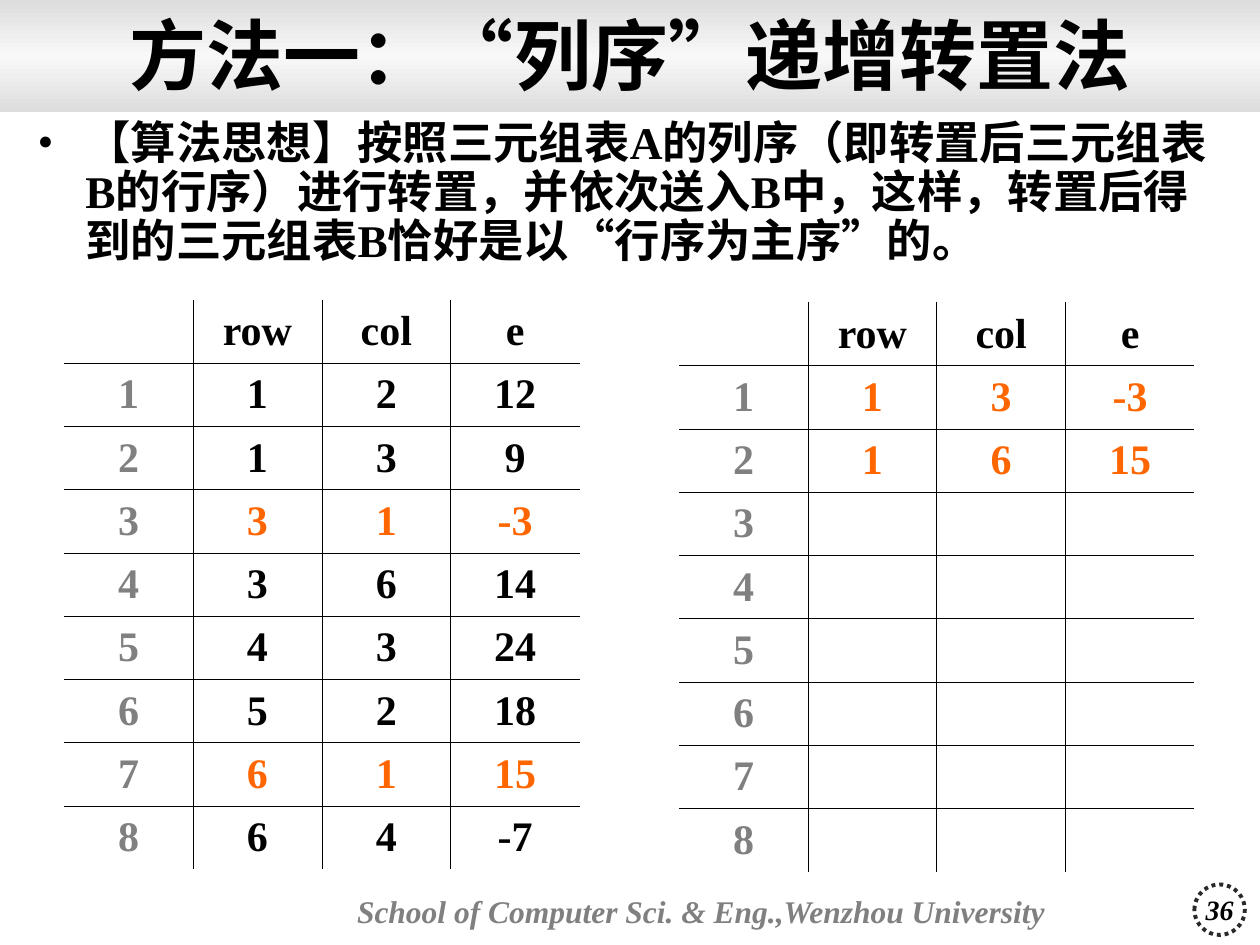
import copy

import pptx
import pptx.dml.color
import pptx.enum.dml
import pptx.enum.shapes
import pptx.enum.text
import pptx.oxml
import pptx.oxml.ns
import pptx.util
from pptx.util import Inches

SERIF = "Times New Roman"
HAN = "Noto Sans CJK SC"
BLACK, GRAY, ORANGE = "000000", "808080", "FF6600"
COLUMNS = ["", "row", "col", "e"]
SOURCE_TRIPLES = [(1, 2, 12), (1, 3, 9), (3, 1, -3), (3, 6, 14),
                  (4, 3, 24), (5, 2, 18), (6, 1, 15), (6, 4, -7)]
MOVED_TRIPLES = [(1, 3, -3), (1, 6, 15)]
TITLE = [("方法一：“", HAN), ("列序", SERIF), ("”", HAN), ("递增转置法", SERIF)]
IDEA = [("【", HAN), ("算法思想", SERIF), ("】", HAN),
        ("按照三元组表A的列序（即转置后三元组表B的行序）进行转置，并依次送入B中，"
         "这样，转置后得到的三元组表B恰好是以", SERIF),
        ("“", HAN), ("行序为主序", SERIF), ("”", HAN), ("的。", SERIF)]


def rgb(value):
    """Turn a hex string into a colour."""
    return pptx.dml.color.RGBColor.from_string(value)


def xml(markup):
    """Parse one drawing element, declaring its namespace."""
    head, rest = markup.split(" ", 1)
    return pptx.oxml.parse_xml(f"{head} {pptx.oxml.ns.nsdecls('a')} {rest}")


def style(font, size, color=BLACK, italic=False):
    """Give a font the bold look shared by all text."""
    font.size = pptx.util.Pt(size)
    font.bold = True
    font.italic = italic
    font.name = SERIF
    font.color.rgb = rgb(color)


def add_spans(para, spans):
    """Add runs, each with its Latin font and the shared Chinese font."""
    for text, name in spans:
        span = para.add_run()
        span.text = text
        span.font.name = name
        span.font._element.append(xml(f'<a:ea typeface="{HAN}"/>'))


def add_text_box(page, place, anchor):
    """Add a wrapping text box and return its first paragraph."""
    frame = page.shapes.add_textbox(*map(Inches, place)).text_frame
    frame.word_wrap = True
    frame.vertical_anchor = anchor
    return frame.paragraphs[0]


def add_title_band(page):
    """Add the gradient band behind the title."""
    band = page.shapes.add_shape(pptx.enum.shapes.MSO_SHAPE.RECTANGLE,
                                 0, 0, Inches(10), Inches(0.89))
    band.shadow.inherit = False
    band.line.fill.background()
    band.fill.gradient()
    band.fill.gradient_angle = 90
    first = band.fill._xPr.find(".//" + pptx.oxml.ns.qn("a:gs"))
    first.addnext(copy.deepcopy(first))
    for stop, place, color in zip(band.fill.gradient_stops, (0, 0.5, 1),
                                  ("DDDDDD", "F8F8F8", "DDDDDD")):
        stop.position = place
        stop.color.rgb = rgb(color)


def add_title(page):
    """Add the slide title."""
    para = add_text_box(page, (0, -0.02, 10, 0.9), pptx.enum.text.MSO_ANCHOR.MIDDLE)
    para.alignment = pptx.enum.text.PP_ALIGN.CENTER
    style(para.font, 44)
    add_spans(para, TITLE)


def add_idea(page):
    """Add the bulleted statement of the algorithm."""
    para = add_text_box(page, (0.2, 0.91, 9.61, 1.5), pptx.enum.text.MSO_ANCHOR.TOP)
    para.line_spacing = 0.9
    properties = para._p.get_or_add_pPr()
    properties.set("marL", str(Inches(0.38)))
    properties.set("indent", str(Inches(-0.38)))
    properties.append(xml('<a:buFont typeface="Times New Roman"/>'))
    properties.append(xml('<a:buChar char="•"/>'))
    style(para.font, 25.9)
    add_spans(para, IDEA)


def add_footer_shape(page, kind, place, text, size, color):
    """Add an unfilled footer shape with one italic line."""
    shape = page.shapes.add_shape(kind, *map(Inches, place))
    shape.shadow.inherit = False
    shape.fill.background()
    shape.line.fill.background()
    frame = shape.text_frame
    frame.word_wrap = False
    frame.vertical_anchor = pptx.enum.text.MSO_ANCHOR.MIDDLE
    para = frame.paragraphs[0]
    para.text = text
    para.alignment = pptx.enum.text.PP_ALIGN.CENTER
    style(para.font, size, color, italic=True)
    return shape


def add_footer(page):
    """Add the school name and the ringed page number."""
    kinds = pptx.enum.shapes.MSO_SHAPE
    school = add_footer_shape(page, kinds.ROUNDED_RECTANGLE, (2.78, 6.9, 5.99, 0.66),
                              "School of Computer Sci. & Eng.,Wenzhou University", 18, GRAY)
    school.adjustments[0] = 0.02
    frame = school.text_frame
    frame.margin_left = frame.margin_right = Inches(0.05)
    frame.margin_top = frame.margin_bottom = Inches(0.02)
    frame.paragraphs[0].alignment = pptx.enum.text.PP_ALIGN.LEFT
    ring = add_footer_shape(page, kinds.OVAL, (9.48, 7.02, 0.4, 0.4), "36", 16, BLACK)
    ring.line.color.rgb = rgb("292929")
    ring.line.width = pptx.util.Pt(2.25)
    ring.line.dash_style = pptx.enum.dml.MSO_LINE.ROUND_DOT


def set_borders(cell, inner_sides):
    """Draw thin lines on the inner sides of a cell and none elsewhere."""
    for side in "LRTB":
        paint = (f'<a:solidFill><a:srgbClr val="{BLACK}"/></a:solidFill>'
                 if side in inner_sides else "<a:noFill/>")
        cell._tc.get_or_add_tcPr().append(
            xml(f'<a:ln{side} w="{pptx.util.Pt(0.45)}">{paint}</a:ln{side}>'))


def add_triple_table(page, left, top, triples):
    """Add a triple table with eight numbered rows, marking those of column one."""
    rows = [COLUMNS] + [[number, *triple] for number, triple in enumerate(triples, 1)]
    last_row, last_column = len(rows) - 1, len(COLUMNS) - 1
    table = page.shapes.add_table(len(rows), len(COLUMNS), Inches(left), Inches(top),
                                  Inches(4.09), Inches(4.52)).table
    table.first_row = table.horz_banding = False
    for r, values in enumerate(rows):
        marked = r > 0 and tuple(values[1:]) in ORANGE_TRIPLES
        for c, value in enumerate(values):
            cell = table.cell(r, c)
            inner = {"L": c > 0, "R": c < last_column, "T": r > 0, "B": r < last_row}
            set_borders(cell, [side for side in inner if inner[side]])
            cell.fill.background()
            cell.vertical_anchor = pptx.enum.text.MSO_ANCHOR.MIDDLE
            para = cell.text_frame.paragraphs[0]
            para.text = str(value)
            para.alignment = pptx.enum.text.PP_ALIGN.CENTER
            style(para.font, 24, GRAY if c == 0 else ORANGE if marked else BLACK)


ORANGE_TRIPLES = MOVED_TRIPLES + [(col, row, e) for row, col, e in MOVED_TRIPLES]


def main():
    """Build and save the slide."""
    deck = pptx.Presentation()
    deck.slide_width, deck.slide_height = Inches(10), Inches(7.5)
    page = deck.slides.add_slide(deck.slide_layouts[6])
    add_title_band(page)
    add_footer(page)
    add_title(page)
    add_triple_table(page, 0.51, 2.38, SOURCE_TRIPLES)
    empty_rows = [("", "", "")] * (len(SOURCE_TRIPLES) - len(MOVED_TRIPLES))
    add_triple_table(page, 5.39, 2.4, MOVED_TRIPLES + empty_rows)
    add_idea(page)
    deck.save("out.pptx")


if __name__ == "__main__":
    main()
